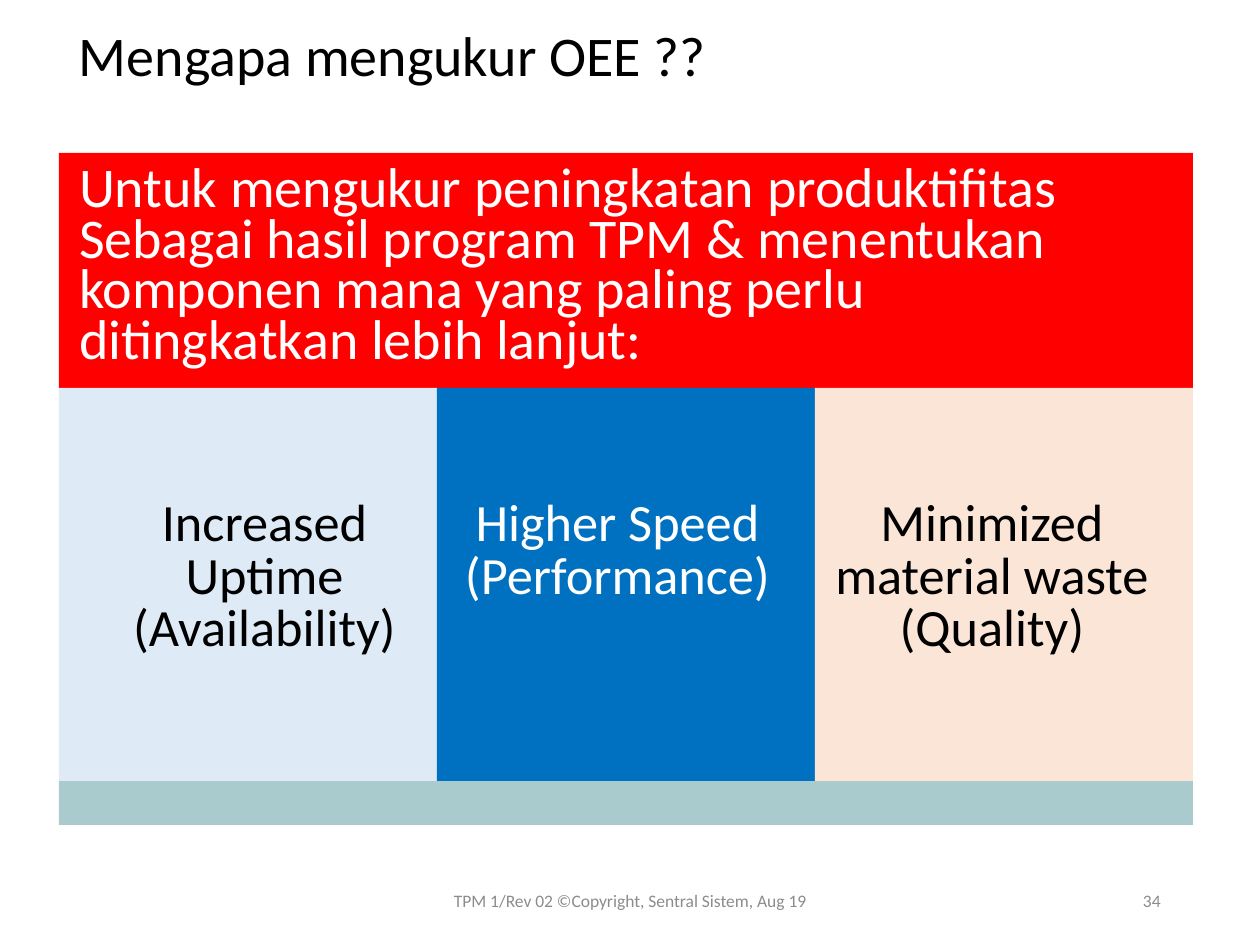
from pptx import Presentation
from pptx.dml.color import RGBColor as RGB
from pptx.enum.shapes import MSO_SHAPE as SHAPE
from pptx.enum.text import MSO_ANCHOR as ANCHOR, PP_ALIGN as ALIGN
from pptx.util import Emu, Pt

# Content
TITLE = ["Mengapa mengukur OEE ??"]
INTRO = [
    "Untuk mengukur peningkatan produktifitas",
    "Sebagai hasil program TPM & menentukan",
    "komponen mana yang paling perlu",
    "ditingkatkan lebih lanjut:",
]
# lines, fill, text colour, text left, text width
PANELS = [
    (["Increased", "Uptime", "(Availability)"], "pale", "black", 132, 265),
    (["Higher Speed", "(Performance)"], "blue", "white", 465, 305),
    (["Minimized", "material waste", "(Quality)"], "peach", "black", 834, 316),
]
FOOTER = ["TPM 1/Rev 02 ©Copyright, Sentral Sistem, Aug 19"]
NUMBER = ["34"]

COLORS = {
    "red": "FF0000", "pale": "DEEBF7", "blue": "0070C0", "peach": "FBE5D6",
    "teal": "A9CBCE", "black": "000000", "white": "FFFFFF", "gray": "8C8C8C",
}
FONT = "Calibri"

# Layout in px
LEFT, WIDTH = 59, 1134
TOP, HEAD, BODY, BASE = 153, 235, 393, 44


def px(n):
    return Emu(round(n * 914400 / 126))


def color(name):
    return RGB.from_string(COLORS[name])


def add_bar(slide, x, y, w, h, fill):
    bar = slide.shapes.add_shape(SHAPE.RECTANGLE, px(x), px(y), px(w), px(h))
    bar.shadow.inherit = False
    bar.fill.solid()
    bar.fill.fore_color.rgb = color(fill)
    bar.line.fill.background()


def add_text(slide, lines, box, size, ink, align=ALIGN.LEFT, gaps=None):
    """With gaps (line spacing of first and later lines) the box has no inset."""
    frame = slide.shapes.add_textbox(*map(px, box)).text_frame
    frame.word_wrap = gaps is None
    if gaps:
        frame.margin_left = frame.margin_right = frame.margin_top = 0
    else:
        frame.vertical_anchor = ANCHOR.MIDDLE
    for i, line in enumerate(lines):
        para = frame.add_paragraph() if i else frame.paragraphs[0]
        para.alignment = align
        if gaps:
            para.line_spacing = Pt(gaps[min(i, 1)])
        run = para.add_run()
        run.text = line
        run.font.name, run.font.size = FONT, Pt(size)
        run.font.color.rgb = color(ink)


def main():
    deck = Presentation()
    deck.slide_width, deck.slide_height = px(1260), px(945)
    slide = deck.slides.add_slide(deck.slide_layouts[6])

    # Title and red banner
    add_text(slide, TITLE, (79, 37, 643, 58), 32, "black", gaps=(29, 29))
    add_bar(slide, LEFT, TOP, WIDTH, HEAD, "red")
    add_text(slide, INTRO, (79, 168, 990, 212), 32, "white", gaps=(29, 29))

    # Three equal panels
    step = WIDTH // len(PANELS)
    for i, (lines, fill, ink, x, w) in enumerate(PANELS):
        add_bar(slide, LEFT + i * step, TOP + HEAD, step, BODY, fill)
        add_text(slide, lines, (x, 505, w, 54 * len(lines)), 29.9, ink,
                 ALIGN.CENTER, (27, 30))

    # Base strip
    add_bar(slide, LEFT, TOP + HEAD + BODY, WIDTH, BASE, "teal")

    # Footer and page number
    add_text(slide, FOOTER, (417, 876, 426, 50), 10, "gray", ALIGN.CENTER)
    add_text(slide, NUMBER, (890, 876, 283, 50), 10, "gray", ALIGN.RIGHT)

    deck.save("out.pptx")


if __name__ == "__main__":
    main()
